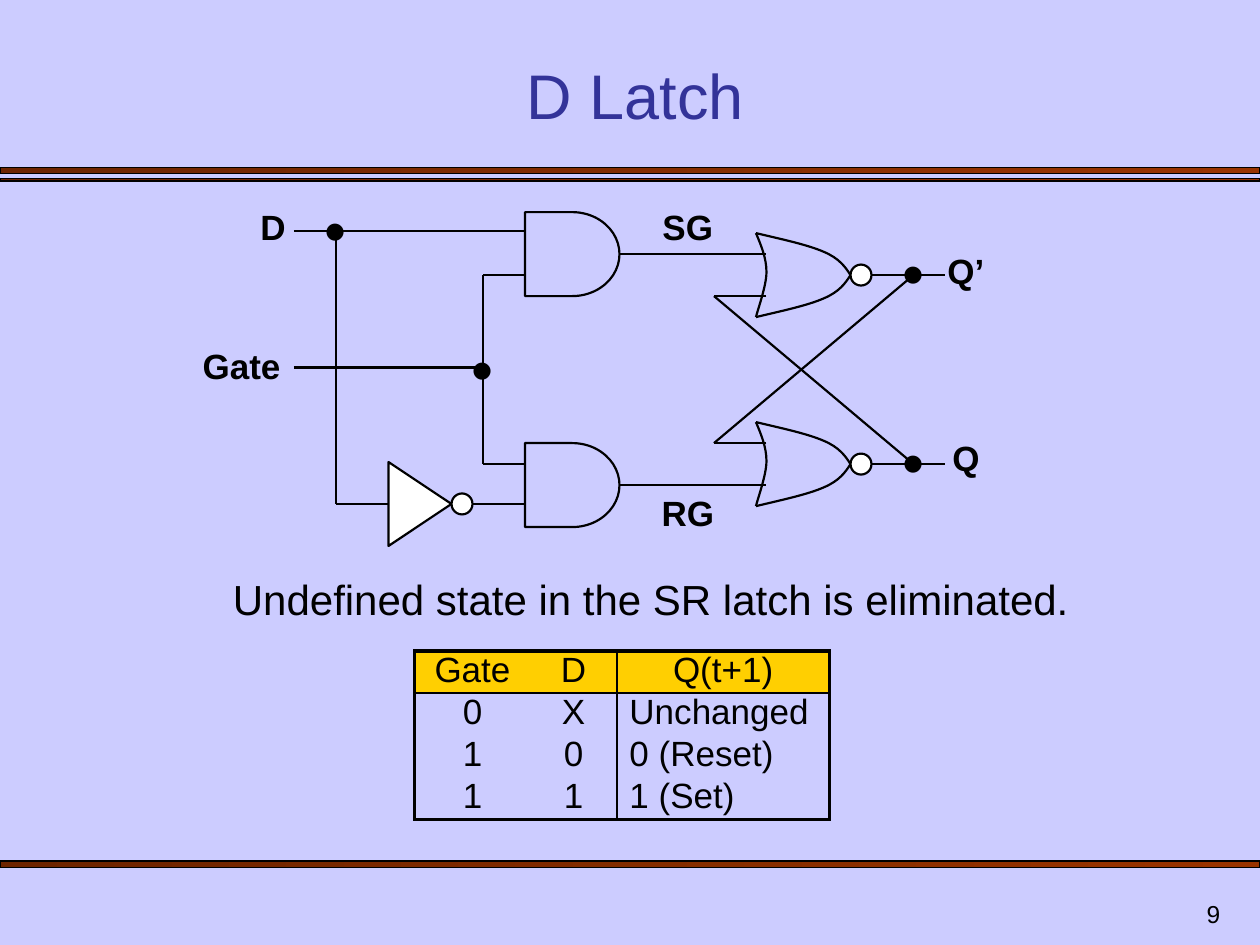
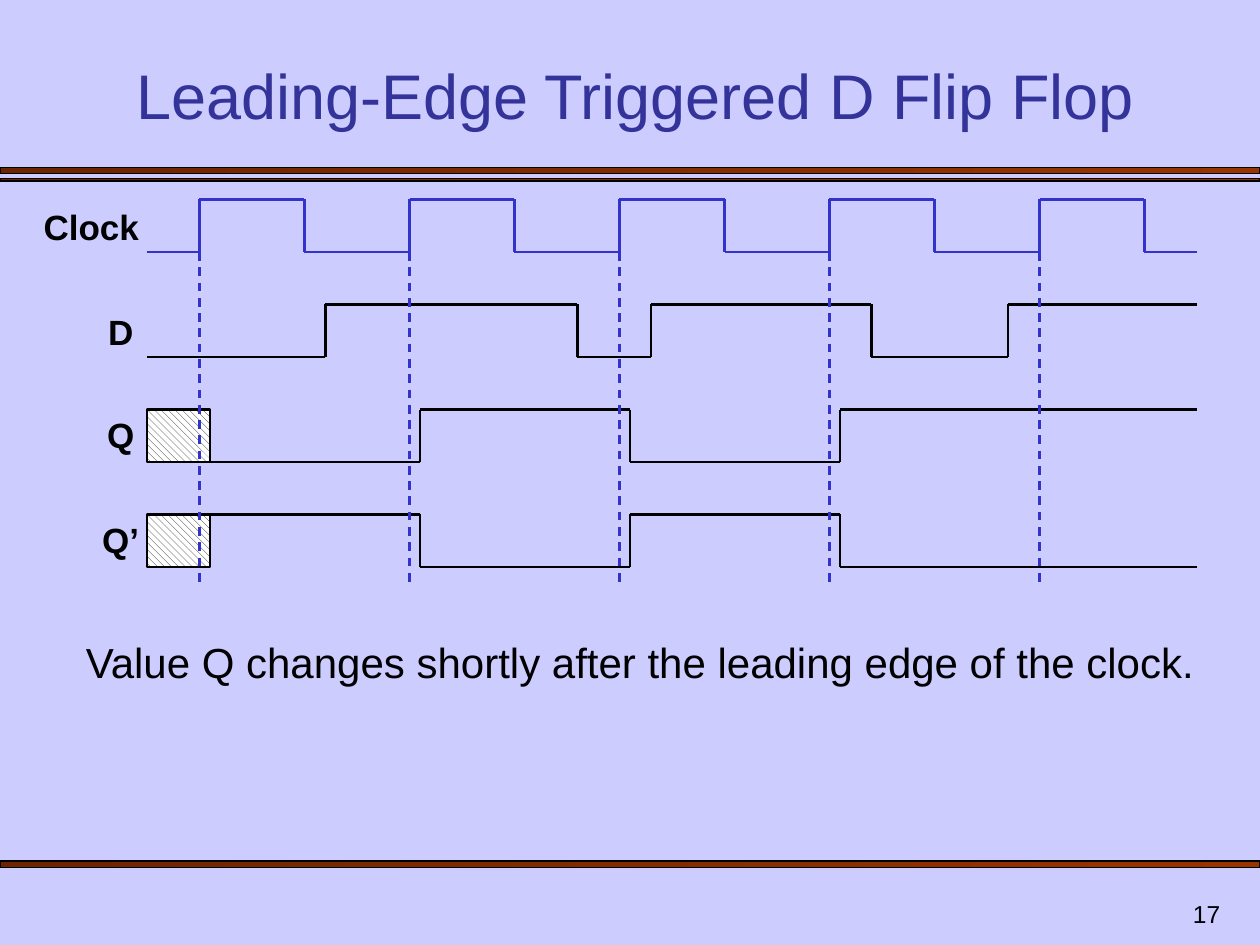
from dataclasses import dataclass
from itertools import pairwise

from lxml import etree
from pptx import Presentation
from pptx.dml.color import RGBColor
from pptx.enum.dml import MSO_LINE, MSO_PATTERN
from pptx.enum.shapes import MSO_CONNECTOR, MSO_SHAPE
from pptx.enum.text import MSO_ANCHOR, PP_ALIGN
from pptx.oxml.ns import qn
from pptx.util import Inches, Pt

RECTANGLE, OVAL, AND_GATE = MSO_SHAPE.RECTANGLE, MSO_SHAPE.OVAL, MSO_SHAPE.FLOWCHART_DELAY
STRAIGHT, DASH = MSO_CONNECTOR.STRAIGHT, MSO_LINE.DASH
HATCH = MSO_PATTERN.WIDE_DOWNWARD_DIAGONAL
LEFT, CENTER, RIGHT = PP_ALIGN.LEFT, PP_ALIGN.CENTER, PP_ALIGN.RIGHT
TOP, BOTTOM = MSO_ANCHOR.TOP, MSO_ANCHOR.BOTTOM
NO_TABLE_STYLE = "{2D5ABB26-0587-4C30-8999-92F81FD0307C}"


@dataclass(frozen=True)
class Theme:
    font: str = "Arial"
    background: str = "CCCCFF"
    title: str = "333399"
    ink: str = "000000"
    paper: str = "FFFFFF"
    clock: str = "3333CC"
    hatch: str = "1C1C1C"
    header: str = "FFCF01"
    band_start: str = "6D2400"
    band_end: str = "993300"
    title_size: int = 36
    dot_size: int = 36
    caption_size: int = 24
    label_size: int = 20
    number_size: int = 14
    band_line: float = 0.75
    wire: float = 1.25
    rule: float = 1
    frame: float = 2.25


THEME = Theme()

# Every length is in grid cells, twelve to the inch: the slide is 120 by 90.
CELLS_PER_INCH = 12
COLUMNS, ROWS = 120, 90
BANDS = [(15.95, 0.6), (17, 0.25), (82, 0.6)]  # top, height
LABEL_HEIGHT = 5.2

# D latch
LATCH_LABELS = [  # text, left, top, width
    ("D", 23, 19, 6), ("Gate", 18, 32.2, 10),
    ("SG", 61, 19, 9), ("RG", 61, 46.2, 9),
    ("Q’", 89, 23.2, 6), ("Q", 89, 41, 6),
]
AND_GATES = [(50, 20.2), (50, 42.2)]
NOR_GATES = [(72, 22.2), (72, 40.2)]
NOR_HEIGHT = 8
# Chained cubic curves: a start, then two controls and an end for each curve.
NOR_BACK = [(0, 0), (0.5, 1.2), (1, 2.4), (1, 3.7), (1, 5), (0.2, 7.2), (0, 8)]
NOR_TOP = [(0, 0), (2.5, 0.6), (4.9, 1.1), (6.5, 1.8), (7.9, 2.4), (8.5, 3.2), (9, 4)]
NOR_BOTTOM = [(x, NOR_HEIGHT - y) for x, y in NOR_TOP]
INVERTER = [(37, 44), (37, 52), (43, 48)]
JUNCTIONS = [(32, 21.8), (46, 35), (87, 25.9), (87, 43.9)]
LATCH_WIRES = [
    [(28, 22), (50, 22)],
    [(32, 22), (32, 48), (37, 48)],
    [(45, 48), (50, 48)],
    [(28, 35), (46, 35)],
    [(50, 26.2), (46, 26.2), (46, 44.2), (50, 44.2)],
    [(59, 24.2), (73, 24.2)],
    [(59, 46.2), (73, 46.2)],
    [(73, 28.2), (68, 28.2), (87, 44.2)],
    [(73, 42.2), (68, 42.2), (87, 26.2)],
]
STATES = [
    ("Gate", "D", "Q(t+1)"),
    ("0", "X", "Unchanged"),
    ("1", "0", "0 (Reset)"),
    ("1", "1", "1 (Set)"),
]
STATE_COLUMNS = [11, 8.25, 20.25]
STATE_ROW = 4

# Flip flop timing
WAVE_START, WAVE_END, WAVE_HEIGHT = 14, 114, 5
PERIOD = 20
RISES = range(19, WAVE_END, PERIOD)
CLOCK_EDGES = range(19, WAVE_END, PERIOD // 2)
WAVES = [  # top, starts high, columns of the edges, colour
    (19, False, CLOCK_EDGES, THEME.clock),
    (29, False, (31, 55, 62, 83, 96), THEME.ink),
    (39, False, (40, 60, 80), THEME.ink),
    (49, True, (40, 60, 80), THEME.ink),
]
UNKNOWN_TOPS, UNKNOWN_WIDTH = (39, 49), 6
GUIDE_TOP, GUIDE_BOTTOM = 24, 56
WAVE_LABELS = [
    ("Clock", 2.7, 19, 12), ("D", 8, 29, 7), ("Q", 8, 38.8, 7), ("Q’", 8, 48.8, 7),
]


def cells(*lengths):
    return [Inches(length / CELLS_PER_INCH) for length in lengths]


def rgb(color):
    return RGBColor.from_string(color)


def style_paragraph(para, text, size, color=THEME.ink, align=LEFT, bold=False):
    para.text = text
    para.alignment = align
    font = para.font
    font.name, font.size, font.bold = THEME.font, Pt(size), bold
    font.color.rgb = rgb(color)


def add_text(slide, text, place, size, anchor=TOP, side_inset=0.1, **style):
    frame = slide.shapes.add_textbox(*cells(*place)).text_frame
    frame.word_wrap = True
    frame.vertical_anchor = anchor
    frame.margin_left = frame.margin_right = Inches(side_inset)
    style_paragraph(frame.paragraphs[0], text, size, **style)


def add_labels(slide, labels):
    for text, left, top, width in labels:
        add_text(slide, text, (left, top, width, LABEL_HEIGHT), THEME.label_size,
                 side_inset=0, align=CENTER, bold=True)


def finish_shape(shape, fill=None, width=THEME.wire):
    shape.shadow.inherit = False
    shape.line.color.rgb = rgb(THEME.ink)
    shape.line.width = Pt(width)
    if fill:
        shape.fill.solid()
        shape.fill.fore_color.rgb = rgb(fill)
    else:
        shape.fill.background()
    return shape


def add_shape(slide, kind, place, fill=None, width=THEME.wire):
    return finish_shape(slide.shapes.add_shape(kind, *cells(*place)), fill, width)


def add_outline(slide, points, fill=None, close=True):
    start, *rest = [cells(*point) for point in points]
    builder = slide.shapes.build_freeform(*start)
    builder.add_line_segments(rest, close=close)
    return finish_shape(builder.convert_to_shape(), fill)


def add_curve(slide, points):
    """Draw an open outline, turning each three line segments into a cubic curve."""
    outline = add_outline(slide, points, close=False)
    segments = list(outline._element.iter(qn("a:lnTo")))
    for first in range(0, len(segments), 3):
        curve = etree.SubElement(segments[first].getparent(), qn("a:cubicBezTo"))
        for segment in segments[first:first + 3]:
            curve.append(segment[0])
            segment.getparent().remove(segment)


def add_wire(slide, points, color=THEME.ink, dash=None):
    """Join successive points with straight connectors."""
    for start, end in pairwise(points):
        wire = slide.shapes.add_connector(STRAIGHT, *cells(*start, *end))
        wire.line.color.rgb = rgb(color)
        wire.line.width = Pt(THEME.wire)
        if dash:
            wire.line.dash_style = dash
        etree.SubElement(wire._element.spPr, qn("a:effectLst"))


def add_page(deck, title, number):
    slide = deck.slides.add_slide(deck.slide_layouts[6])
    slide.background.fill.solid()
    slide.background.fill.fore_color.rgb = rgb(THEME.background)
    for top, height in BANDS:
        fill = add_shape(slide, RECTANGLE, (0, top, COLUMNS, height), width=THEME.band_line).fill
        fill.gradient()
        fill.gradient_angle = 0
        for stop, color in zip(fill.gradient_stops, (THEME.band_start, THEME.band_end)):
            stop.color.rgb = rgb(color)
    add_text(slide, str(number), (92.4, 84, 25, 5), THEME.number_size, BOTTOM, align=RIGHT)
    add_text(slide, title, (7, 5, 107, 8.2), THEME.title_size, BOTTOM,
             color=THEME.title, align=CENTER)
    return slide


def add_bubble(slide, left, middle):
    add_shape(slide, OVAL, (left, middle - 1, 2, 2), THEME.paper)


def add_nor_gate(slide, left, top):
    middle = top + NOR_HEIGHT / 2
    add_bubble(slide, left + 9, middle)
    for curve in (NOR_BACK, NOR_TOP, NOR_BOTTOM):
        add_curve(slide, [(left + x, top + y) for x, y in curve])
    add_wire(slide, [(left + 11, middle), (left + 18, middle)])


def add_border(cell, side, width):
    line = etree.SubElement(cell._tc.get_or_add_tcPr(), qn(f"a:ln{side}"), w=str(Pt(width or 0)))
    if width:
        fill = etree.SubElement(line, qn("a:solidFill"))
        etree.SubElement(fill, qn("a:srgbClr"), val=THEME.ink)
    else:
        etree.SubElement(line, qn("a:noFill"))


def add_state_table(slide, left, top):
    last_row, last_column = len(STATES) - 1, len(STATE_COLUMNS) - 1
    place = cells(left, top, sum(STATE_COLUMNS), STATE_ROW * len(STATES))
    table = slide.shapes.add_table(len(STATES), len(STATE_COLUMNS), *place).table
    table.first_row = table.horz_banding = False
    table._tbl.tblPr.find(qn("a:tableStyleId")).text = NO_TABLE_STYLE
    for column, width in zip(table.columns, cells(*STATE_COLUMNS)):
        column.width = width
    for r, state in enumerate(STATES):
        for c, text in enumerate(state):
            cell = table.cell(r, c)
            cell.margin_top = cell.margin_bottom = 0
            align = LEFT if r and c == last_column else CENTER
            style_paragraph(cell.text_frame.paragraphs[0], text, THEME.label_size, align=align)
            borders = {
                "L": {0: THEME.frame, last_column: THEME.rule}.get(c),
                "R": {last_column: THEME.frame, last_column - 1: THEME.rule}.get(c),
                "T": {0: THEME.frame, 1: THEME.rule}.get(r),
                "B": {last_row: THEME.frame, 0: THEME.rule}.get(r),
            }
            for side, width in borders.items():
                add_border(cell, side, width)
            if r == 0:
                cell.fill.solid()
                cell.fill.fore_color.rgb = rgb(THEME.header)
            else:
                cell.fill.background()


def build_latch(deck):
    slide = add_page(deck, "D Latch", 9)
    for left, top in NOR_GATES:
        add_nor_gate(slide, left, top)
    for left, top in AND_GATES:
        add_shape(slide, AND_GATE, (left, top, 9, 8))
    add_outline(slide, INVERTER, THEME.paper)
    add_bubble(slide, *INVERTER[-1])
    for wire in LATCH_WIRES:
        add_wire(slide, wire)
    for x, y in JUNCTIONS:
        add_text(slide, "•", (x - 3, y - 4.2, 6, 8.4), THEME.dot_size, align=CENTER)
    add_labels(slide, LATCH_LABELS)
    add_text(slide, "Undefined state in the SR latch is eliminated.",
             (21, 54, 85, 6), THEME.caption_size)
    add_state_table(slide, 39.5, 62)


def wave_points(top, high, edges):
    level = {True: top, False: top + WAVE_HEIGHT}
    points = [(WAVE_START, level[high])]
    for x in edges:
        points += [(x, level[high]), (x, level[not high])]
        high = not high
    return points + [(WAVE_END, level[high])]


def build_timing(deck):
    slide = add_page(deck, "Leading-Edge Triggered D Flip Flop", 17)
    for top, high, edges, color in WAVES:
        add_wire(slide, wave_points(top, high, edges), color)
    for top in UNKNOWN_TOPS:
        fill = add_shape(slide, RECTANGLE, (WAVE_START, top, UNKNOWN_WIDTH, WAVE_HEIGHT)).fill
        fill.patterned()
        fill.pattern = HATCH
        fill.fore_color.rgb = rgb(THEME.hatch)
        fill.back_color.rgb = rgb(THEME.paper)
    for x in RISES:
        add_wire(slide, [(x, GUIDE_TOP), (x, GUIDE_BOTTOM)], THEME.clock, DASH)
    add_labels(slide, WAVE_LABELS)
    add_text(slide, "Value Q changes shortly after the leading edge of the clock.",
             (7, 60, 110, 6), THEME.caption_size)


def main():
    deck = Presentation()
    deck.slide_width, deck.slide_height = cells(COLUMNS, ROWS)
    build_latch(deck)
    build_timing(deck)
    deck.save("out.pptx")


if __name__ == "__main__":
    main()
